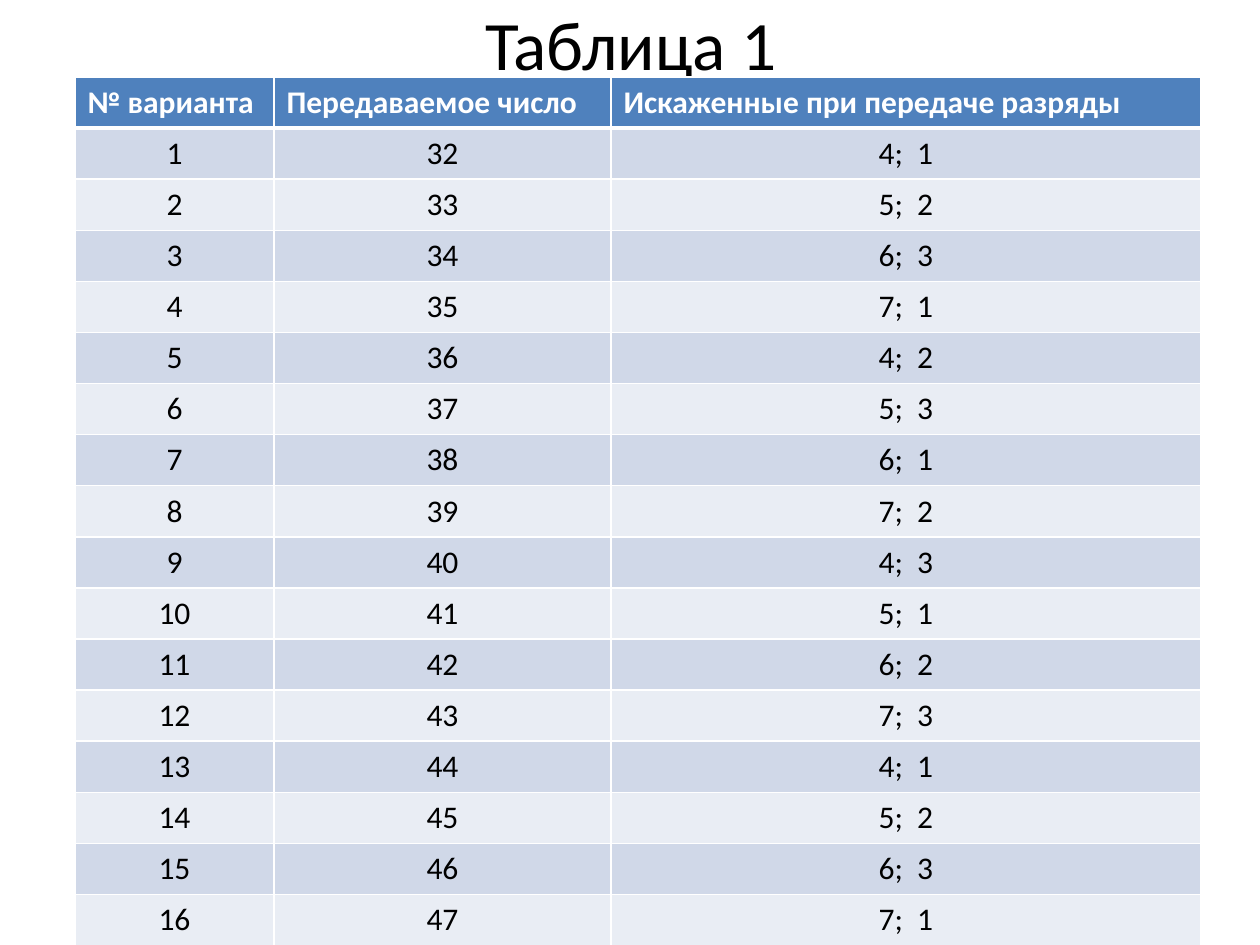
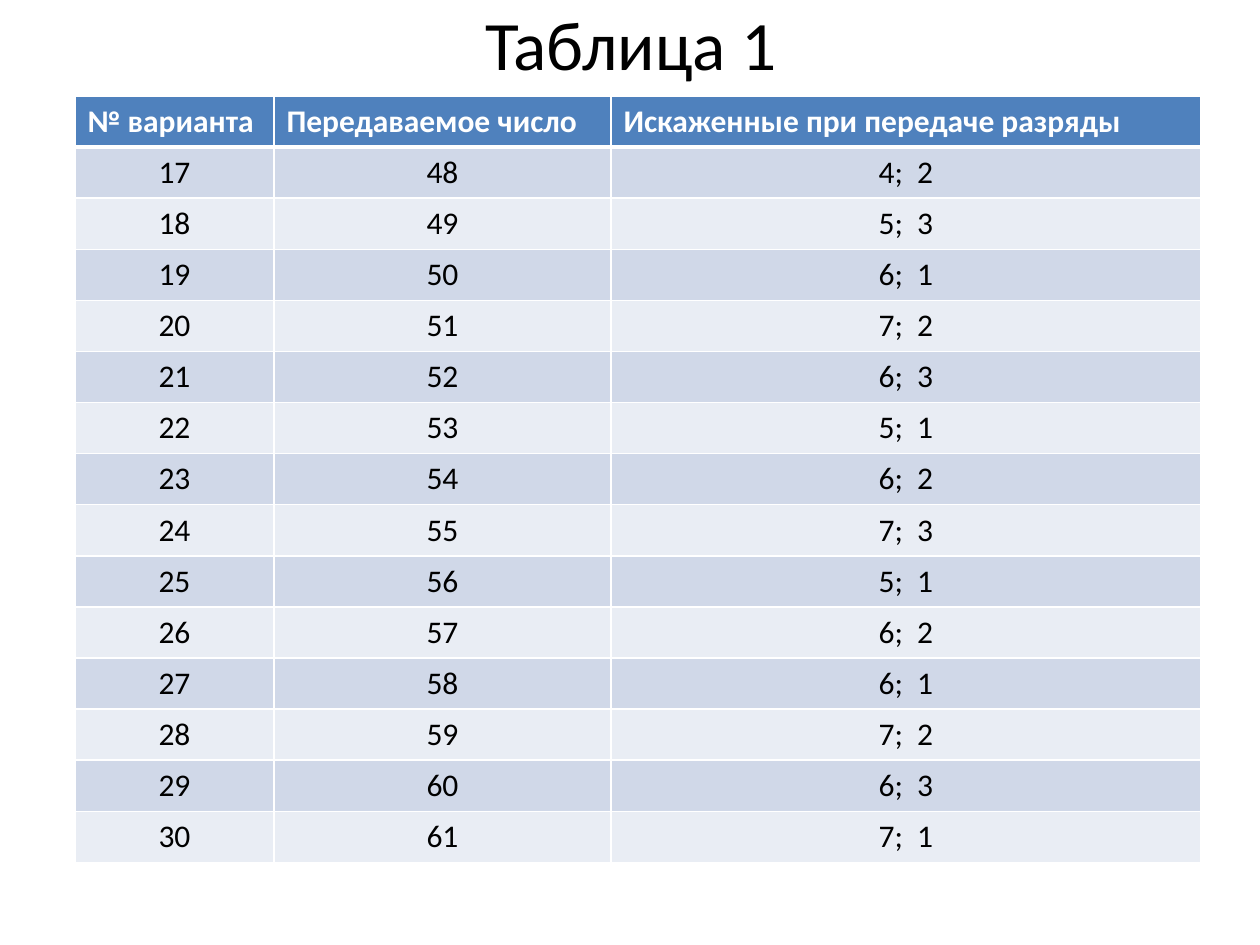
from pptx import Presentation
from pptx.dml.color import RGBColor
from pptx.enum.text import MSO_ANCHOR, MSO_AUTO_SIZE, PP_ALIGN
from pptx.oxml import parse_xml
from pptx.oxml.ns import nsdecls
from pptx.util import Pt

PIXEL = 914400 // 126
FONT = "Calibri"
BLACK = RGBColor(0x00, 0x00, 0x00)
WHITE = RGBColor(0xFF, 0xFF, 0xFF)
HEADER_BLUE = RGBColor(0x4F, 0x81, 0xBD)
BANDS = [RGBColor(0xD0, 0xD8, 0xE8), RGBColor(0xE9, 0xED, 0xF4)]

TITLE = "Таблица 1"
HEADINGS = ["№ варианта", "Передаваемое число", "Искаженные при передаче разряды"]
COLUMN_WIDTHS = [199, 337, 590]
ROW_HEIGHT = 51
TABLE_LEFT = 75
NUMBER_OFFSET = 31  # transmitted number minus variant number

# Table top, first variant, and the two distorted digits of each variant
PAGES = [
    (77, 1, [(4, 1), (5, 2), (6, 3), (7, 1), (4, 2), (5, 3), (6, 1), (7, 2),
             (4, 3), (5, 1), (6, 2), (7, 3), (4, 1), (5, 2), (6, 3), (7, 1)]),
    (96, 17, [(4, 2), (5, 3), (6, 1), (7, 2), (6, 3), (5, 1), (6, 2),
              (7, 3), (5, 1), (6, 2), (6, 1), (7, 2), (6, 3), (7, 1)]),
]


def write_text(frame, text, size=18, color=BLACK, bold=False, align=PP_ALIGN.CENTER):
    """Write one formatted paragraph into a text frame."""
    para = frame.paragraphs[0]
    para.alignment = align
    span = para.add_run()
    span.text = text
    span.font.name = FONT
    span.font.size = Pt(size)
    span.font.bold = bold
    span.font.color.rgb = color


def style_cell(cell, fill, top=1, bottom=1):
    """Give a cell white borders (widths in points) and a solid fill."""
    properties = cell._tc.get_or_add_tcPr()
    for side, width in (("L", 1), ("R", 1), ("T", top), ("B", bottom)):
        properties.append(parse_xml(
            f'<a:ln{side} {nsdecls("a")} w="{Pt(width)}"><a:solidFill>'
            f'<a:srgbClr val="{WHITE}"/></a:solidFill></a:ln{side}>'))
    cell.fill.solid()
    cell.fill.fore_color.rgb = fill


deck = Presentation()
deck.slide_width = 1260 * PIXEL
deck.slide_height = 945 * PIXEL
title_only = deck.slide_layouts[5]

for table_top, first_variant, digit_pairs in PAGES:
    page = deck.slides.add_slide(title_only)

    title = page.shapes.title
    title.left, title.top = 64 * PIXEL, 0
    title.width, title.height = 1134 * PIXEL, 86 * PIXEL
    title.text_frame.auto_size = MSO_AUTO_SIZE.NONE
    title.text_frame.vertical_anchor = MSO_ANCHOR.MIDDLE
    write_text(title.text_frame, TITLE, size=39.6)

    row_count = len(digit_pairs) + 1
    table = page.shapes.add_table(
        row_count, len(HEADINGS), TABLE_LEFT * PIXEL, table_top * PIXEL,
        sum(COLUMN_WIDTHS) * PIXEL, row_count * ROW_HEIGHT * PIXEL).table
    for column, width in zip(table.columns, COLUMN_WIDTHS):
        column.width = width * PIXEL
    for row in table.rows:
        row.height = ROW_HEIGHT * PIXEL

    for column, heading in enumerate(HEADINGS):
        cell = table.cell(0, column)
        style_cell(cell, HEADER_BLUE, bottom=3)
        write_text(cell.text_frame, heading, color=WHITE, bold=True, align=PP_ALIGN.LEFT)

    for row, (first, second) in enumerate(digit_pairs, start=1):
        variant = first_variant + row - 1
        values = [str(variant), str(variant + NUMBER_OFFSET), f"{first};  {second}"]
        for column, value in enumerate(values):
            cell = table.cell(row, column)
            style_cell(cell, BANDS[(row - 1) % 2], top=3 if row == 1 else 1)
            write_text(cell.text_frame, value)

deck.save("out.pptx")
